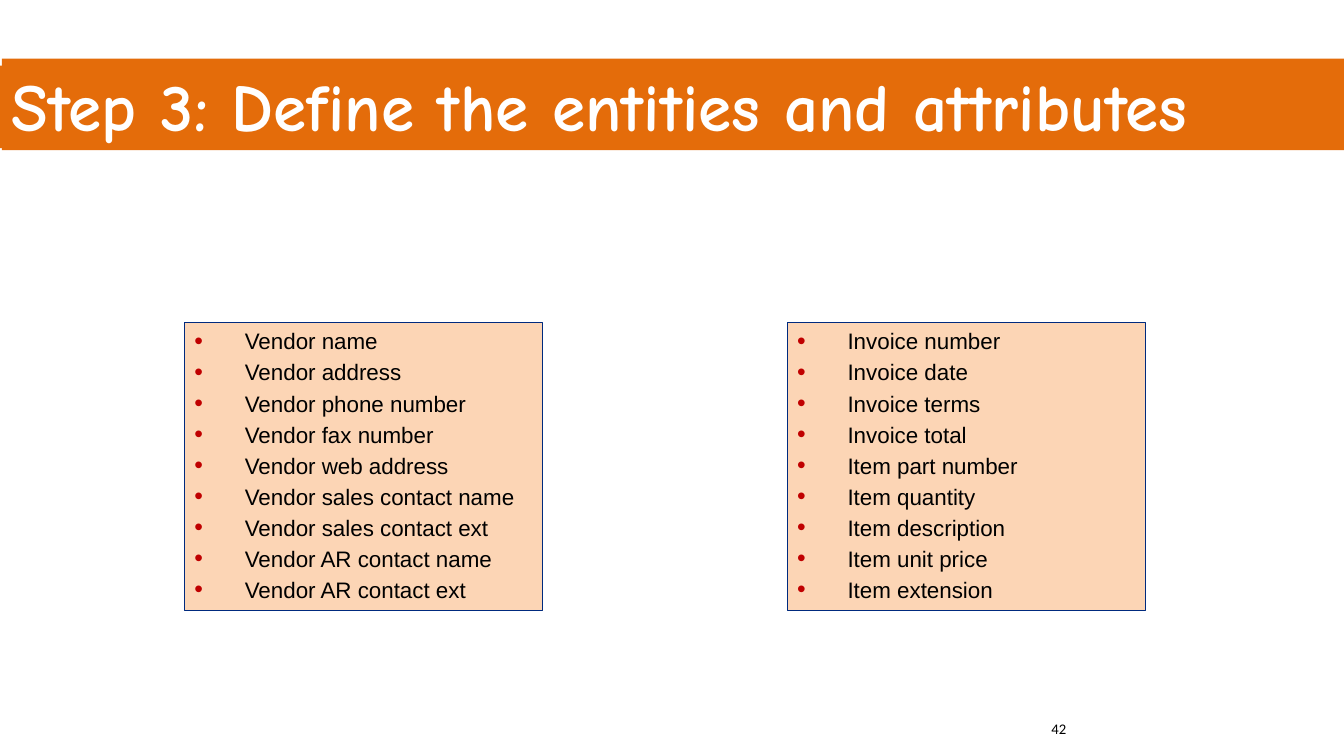
from lxml.etree import SubElement
from pptx import Presentation
from pptx.dml.color import RGBColor
from pptx.enum.shapes import MSO_SHAPE
from pptx.enum.text import MSO_ANCHOR, PP_ALIGN
from pptx.oxml.ns import qn
from pptx.util import Pt

ORANGE, PEACH, NAVY = "E46C0A", "FCD5B5", "002A7E"
RED, BLACK, WHITE = "C00000", "000000", "FFFFFF"

TITLE_FORMAT = {"name": "Comic Neue", "size": Pt(48), "bold": True}
NUMBER_FORMAT = {"name": "Calibri", "size": Pt(10.5)}
LIST_FORMAT = {"name": "Arial", "size": Pt(16)}

VENDOR_ATTRIBUTES = [
    "Vendor name", "Vendor address", "Vendor phone number",
    "Vendor fax number", "Vendor web address", "Vendor sales contact name",
    "Vendor sales contact ext", "Vendor AR contact name", "Vendor AR contact ext",
]
INVOICE_ATTRIBUTES = [
    "Invoice number", "Invoice date", "Invoice terms", "Invoice total",
    "Item part number", "Item quantity", "Item description",
    "Item unit price", "Item extension",
]


def color(value):
    """Return the colour for a hex string."""
    return RGBColor.from_string(value)


def add_rectangle(slide, left, top, width, height, fill, line=None):
    """Add a flat rectangle with an optional thin outline."""
    shape = slide.shapes.add_shape(
        MSO_SHAPE.RECTANGLE, Pt(left), Pt(top), Pt(width), Pt(height))
    shape.shadow.inherit = False
    shape.fill.solid()
    shape.fill.fore_color.rgb = color(fill)
    if line:
        shape.line.color.rgb = color(line)
        shape.line.width = Pt(0.75)
    else:
        shape.line.fill.background()
    return shape


def write_paragraph(paragraph, text, formats, text_color):
    """Write left-aligned text and apply its font formats."""
    paragraph.alignment = PP_ALIGN.LEFT
    run = paragraph.add_run()
    run.text = text
    for name, value in formats.items():
        setattr(run.font, name, value)
    run.font.color.rgb = color(text_color)


def add_bullet(paragraph):
    """Give a paragraph a red bullet with a hanging indent."""
    properties = paragraph._p.get_or_add_pPr()
    properties.set("marL", str(Pt(36)))
    properties.set("indent", str(Pt(-36)))
    bullet_color = SubElement(properties, qn("a:buClr"))
    SubElement(bullet_color, qn("a:srgbClr"), val=RED)
    SubElement(properties, qn("a:buSzPct"), val="110000")
    SubElement(properties, qn("a:buFont"), typeface="Arial")
    SubElement(properties, qn("a:buChar"), char="•")


def add_title(slide, text):
    """Add the title on its orange band."""
    add_rectangle(slide, 0, 46.8, 960, 59, ORANGE)
    shape = add_rectangle(slide, 1.4, 41.8, 962, 65.5, ORANGE)
    write_paragraph(shape.text_frame.paragraphs[0], text, TITLE_FORMAT, WHITE)


def add_attribute_list(slide, left, attributes):
    """Add an entity box that lists its attributes."""
    shape = add_rectangle(slide, left, 230.4, 256, 206, PEACH, NAVY)
    frame = shape.text_frame
    frame.vertical_anchor = MSO_ANCHOR.TOP
    for index, attribute in enumerate(attributes):
        paragraph = frame.add_paragraph() if index else frame.paragraphs[0]
        paragraph.space_after = Pt(3)
        add_bullet(paragraph)
        write_paragraph(paragraph, attribute, LIST_FORMAT, BLACK)


def add_slide_number(slide, text):
    """Add the slide number at the bottom right."""
    box = slide.shapes.add_textbox(Pt(744), Pt(510.5), Pt(216), Pt(28.8))
    box.text_frame.word_wrap = True
    write_paragraph(box.text_frame.paragraphs[0], text, NUMBER_FORMAT, BLACK)


def main():
    """Build and save the slide."""
    presentation = Presentation()
    presentation.slide_width, presentation.slide_height = Pt(960), Pt(540)
    slide = presentation.slides.add_slide(presentation.slide_layouts[6])
    add_title(slide, "Step 3: Define the entities and attributes")
    add_slide_number(slide, "42")
    add_attribute_list(slide, 131.8, VENDOR_ATTRIBUTES)
    add_attribute_list(slide, 562.3, INVOICE_ATTRIBUTES)
    presentation.save("out.pptx")


if __name__ == "__main__":
    main()
